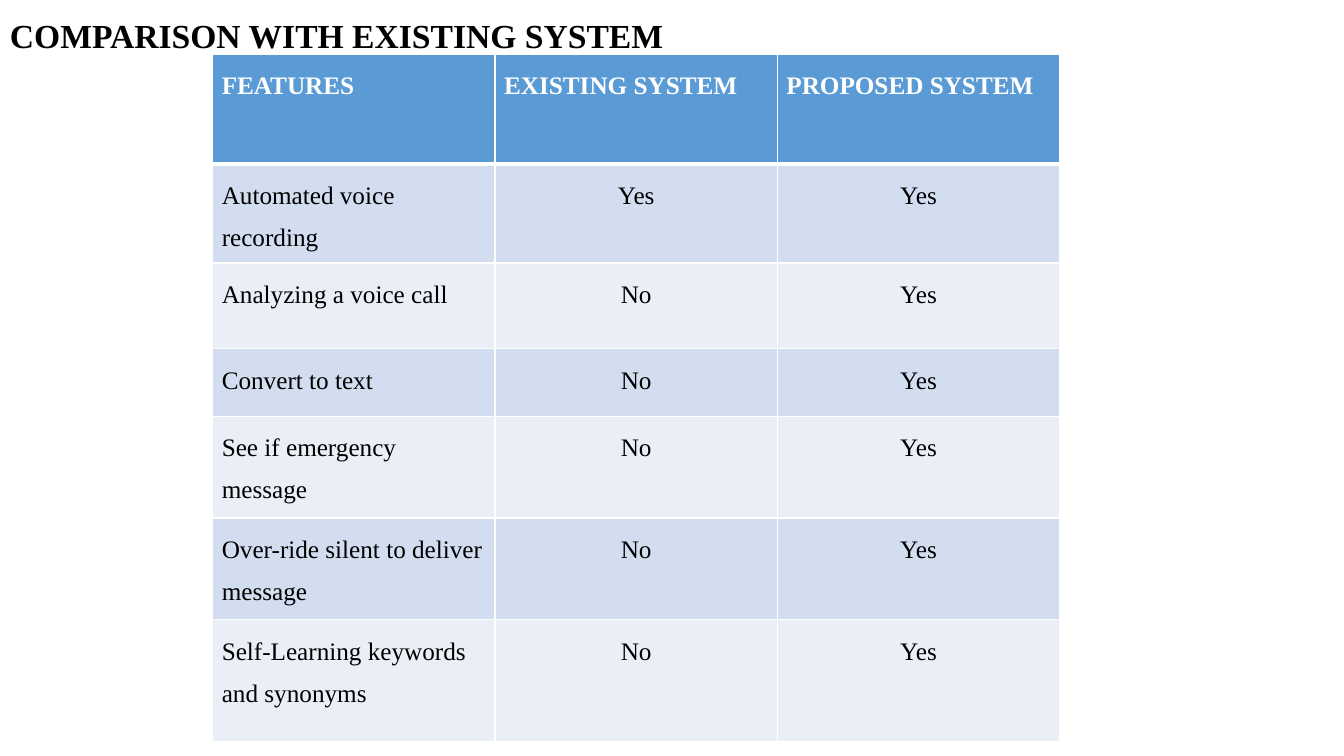
import dataclasses
import typing

import lxml.etree
import pptx
import pptx.dml.color
import pptx.enum.text
import pptx.oxml.ns
import pptx.util

Inches = pptx.util.Inches
Pt = pptx.util.Pt
RGBColor = pptx.dml.color.RGBColor
Align = pptx.enum.text.PP_ALIGN
Anchor = pptx.enum.text.MSO_ANCHOR

BLACK = RGBColor(0x00, 0x00, 0x00)
WHITE = RGBColor(0xFF, 0xFF, 0xFF)
HEADER_BLUE = RGBColor(0x5B, 0x9B, 0xD5)
BANDS = (RGBColor(0xD2, 0xDE, 0xEF), RGBColor(0xEA, 0xEF, 0xF7))
FONT = "Times New Roman"
COLUMN_WIDTH = 2.8


@dataclasses.dataclass(frozen=True)
class Feature:
    name: str
    existing: str
    proposed: str
    height: float


HEADER = Feature("FEATURES", "EXISTING SYSTEM", "PROPOSED SYSTEM", 1.09)
FEATURES = [
    Feature("Automated voice recording", "Yes", "Yes", 0.97),
    Feature("Analyzing a voice call", "No", "Yes", 0.85),
    Feature("Convert to text", "No", "Yes", 0.67),
    Feature("See if emergency message", "No", "Yes", 1.01),
    Feature("Over-ride silent to deliver message", "No", "Yes", 1.01),
    Feature("Self-Learning keywords and synonyms", "No", "Yes", 1.21),
]


def write_text(tf: typing.Any, text: str, *, size: float = 18, bold: bool = False,
               color: RGBColor = BLACK, align: Align = Align.LEFT,
               line_spacing: float = 1.5, space_after: float = 0) -> None:
    tf.word_wrap = True
    p = tf.paragraphs[0]
    p.alignment = align
    p.line_spacing = line_spacing
    p.space_after = Pt(space_after)
    r = p.add_run()
    r.text = text
    r.font.name = FONT
    r.font.size = Pt(size)
    r.font.bold = bold
    r.font.color.rgb = color


def set_borders(cell: typing.Any, top: float, bottom: float) -> None:
    """White cell borders; line elements come before the fill."""
    qn = pptx.oxml.ns.qn
    tc_pr = cell._tc.get_or_add_tcPr()
    sides = {"a:lnL": 1, "a:lnR": 1, "a:lnT": top, "a:lnB": bottom}
    for i, (tag, width) in enumerate(sides.items()):
        ln = lxml.etree.Element(qn(tag), w=str(Pt(width)))
        fill = lxml.etree.SubElement(ln, qn("a:solidFill"))
        lxml.etree.SubElement(fill, qn("a:srgbClr"), val=str(WHITE))
        tc_pr.insert(i, ln)


def add_comparison(s: typing.Any, left: float, top: float) -> None:
    rows = [HEADER, *FEATURES]
    height = sum(row.height for row in rows)
    table = s.shapes.add_table(len(rows), 3, Inches(left), Inches(top),
                               Inches(3 * COLUMN_WIDTH), Inches(height)).table
    for column in table.columns:
        column.width = Inches(COLUMN_WIDTH)
    for i, row in enumerate(rows):
        table.rows[i].height = Inches(row.height)
        is_header = i == 0
        for j, text in enumerate((row.name, row.existing, row.proposed)):
            cell = table.cell(i, j)
            cell.margin_left = cell.margin_right = Inches(0.09)
            cell.margin_top = cell.margin_bottom = Inches(0.04)
            cell.fill.solid()
            cell.fill.fore_color.rgb = HEADER_BLUE if is_header else BANDS[(i - 1) % 2]
            set_borders(cell, top=3 if i == 1 else 1, bottom=3 if is_header else 1)
            write_text(cell.text_frame, text, bold=is_header,
                       color=WHITE if is_header else BLACK,
                       align=Align.LEFT if is_header or j == 0 else Align.CENTER,
                       space_after=0 if is_header else 10)


prs = pptx.Presentation()
prs.slide_width = Inches(13.33)
prs.slide_height = Inches(7.5)
s = prs.slides.add_slide(prs.slide_layouts[6])

# Title
title = s.shapes.add_textbox(Inches(0), Inches(0), Inches(7.19), Inches(0.74))
title.text_frame.vertical_anchor = Anchor.MIDDLE
write_text(title.text_frame, "COMPARISON WITH EXISTING SYSTEM",
           size=24, bold=True, line_spacing=0.9)

# Feature comparison table
add_comparison(s, left=2.11, top=0.54)

prs.save("out.pptx")
